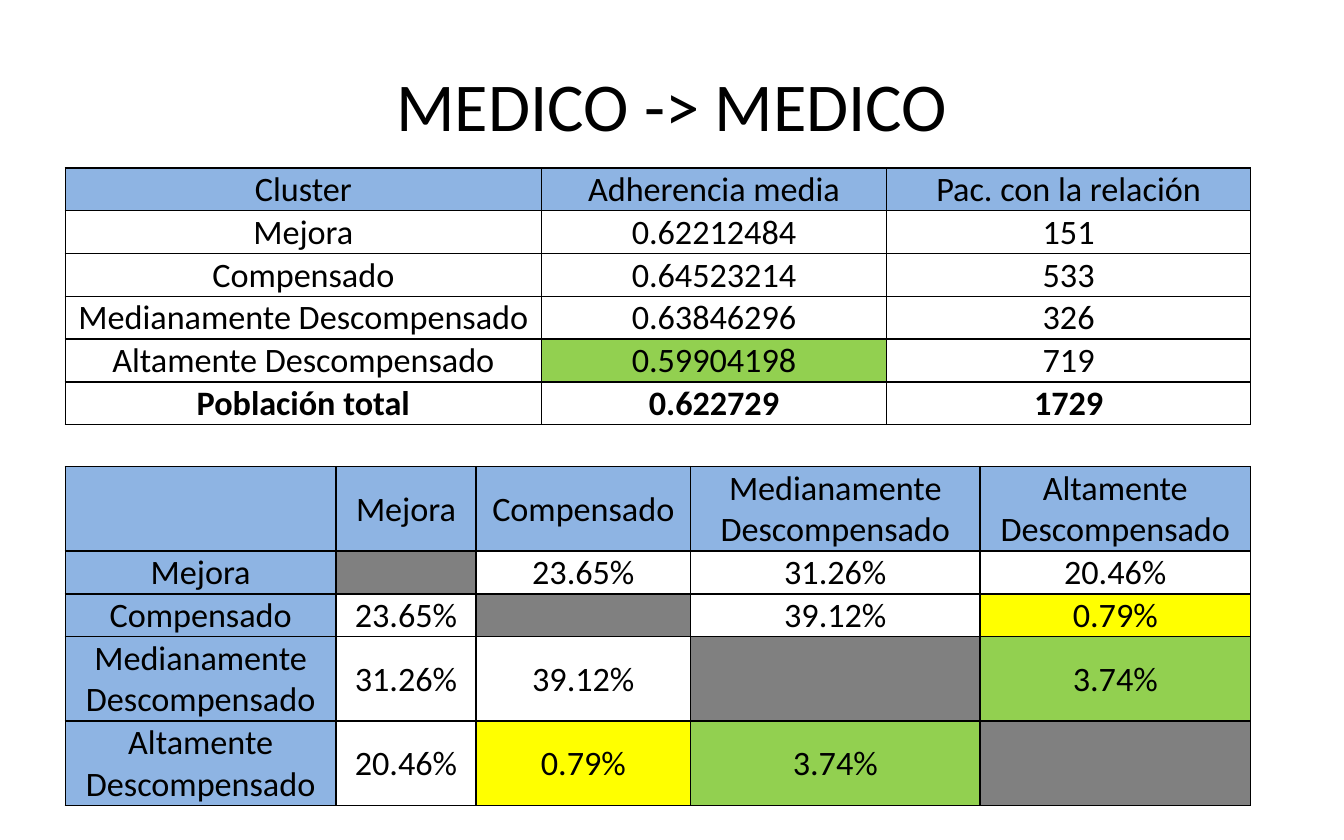
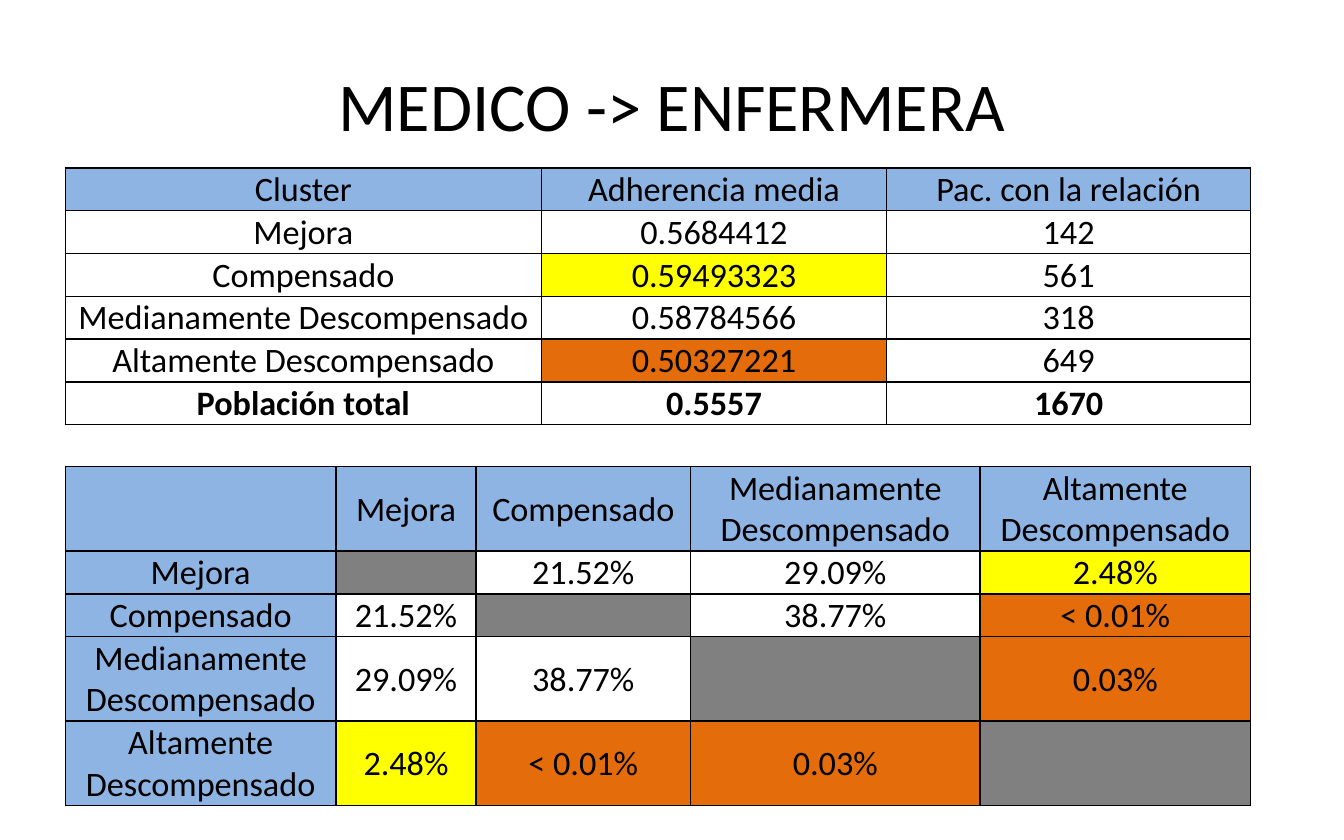
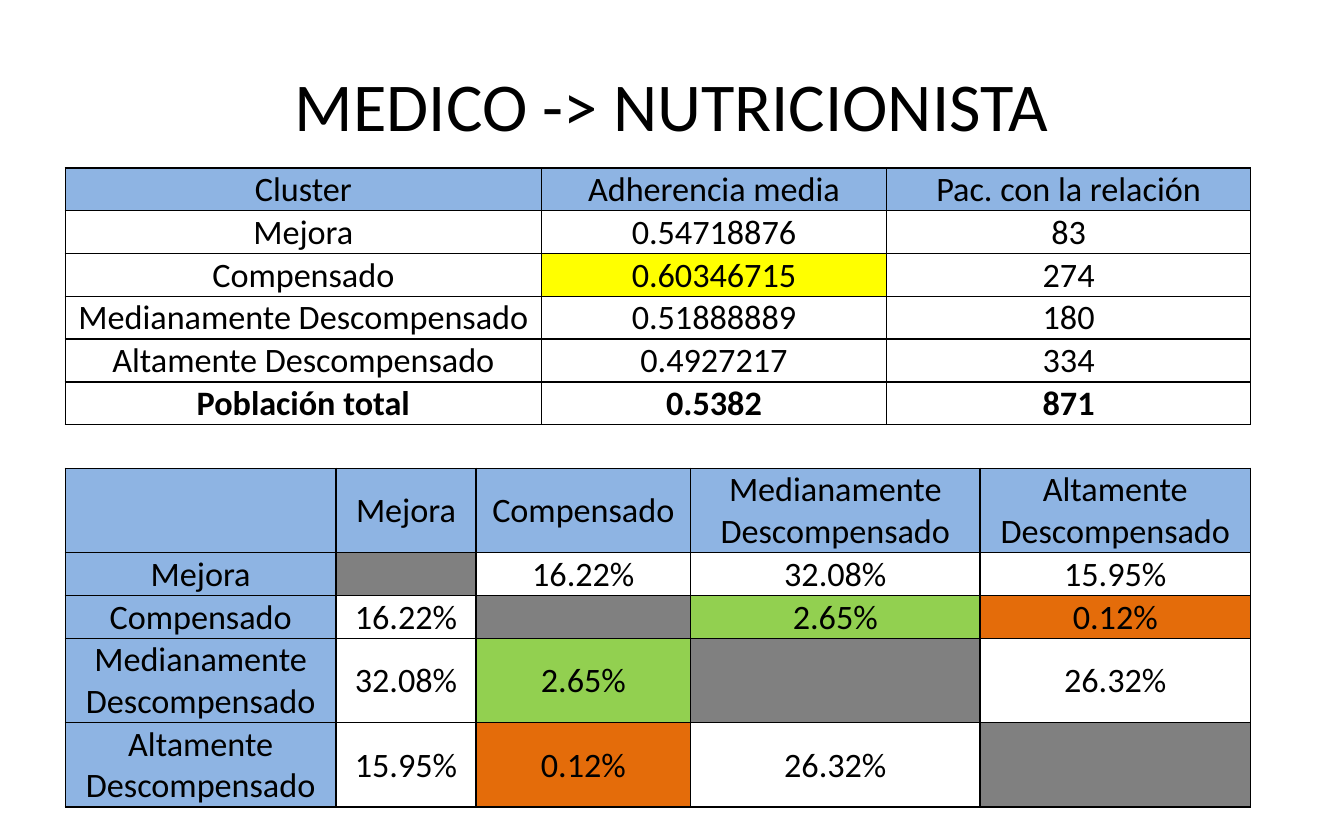
"""Builds three slides comparing adherence by patient cluster for each care transition."""
from lxml import etree
from pptx import Presentation
from pptx.dml.color import RGBColor
from pptx.enum.text import MSO_ANCHOR as Anchor, PP_ALIGN as Align
from pptx.oxml.ns import qn
from pptx.util import Pt

BLACK = RGBColor(0x00, 0x00, 0x00)
WHITE = RGBColor(0xFF, 0xFF, 0xFF)
BLUE = RGBColor(0x8E, 0xB4, 0xE3)
GRAY = RGBColor(0x80, 0x80, 0x80)
GREEN = RGBColor(0x92, 0xD0, 0x50)
YELLOW = RGBColor(0xFF, 0xFF, 0x00)
ORANGE = RGBColor(0xE4, 0x6C, 0x0A)

FONT = "Calibri"
LEFT = 42
SINGLE_ROW, DOUBLE_ROW = 27.5, 54.3
SUMMARY_TOP = 108
SUMMARY_COLUMNS = [306, 222, 234]
SUMMARY_ROWS = [SINGLE_ROW] * 6
MATRIX_COLUMNS = [174, 90, 138, 186, 174]
MATRIX_ROWS = [DOUBLE_ROW, SINGLE_ROW, SINGLE_ROW, DOUBLE_ROW, DOUBLE_ROW]

CLUSTERS = ["Mejora", "Compensado", "Medianamente Descompensado", "Altamente Descompensado"]
SUMMARY_HEADER = ["Cluster", "Adherencia media", "Pac. con la relación"]
PAIRS = [(0, 1), (0, 2), (0, 3), (1, 2), (1, 3), (2, 3)]

TRANSITIONS = [
    {
        "title": "MEDICO -> MEDICO",
        "adherence": ["0.62212484", "0.64523214", "0.63846296", "0.59904198", "0.622729"],
        "patients": ["151", "533", "326", "719", "1729"],
        "differences": ["23.65%", "31.26%", "20.46%", "39.12%", "0.79%", "3.74%"],
        "highlights": {"0.59904198": GREEN, "0.79%": YELLOW, "3.74%": GREEN},
        "matrix_top": 300,
    },
    {
        "title": "MEDICO -> ENFERMERA",
        "adherence": ["0.5684412", "0.59493323", "0.58784566", "0.50327221", "0.5557"],
        "patients": ["142", "561", "318", "649", "1670"],
        "differences": ["21.52%", "29.09%", "2.48%", "38.77%", "< 0.01%", "0.03%"],
        "highlights": {"0.59493323": YELLOW, "0.50327221": ORANGE, "2.48%": YELLOW,
                       "< 0.01%": ORANGE, "0.03%": ORANGE},
        "matrix_top": 300,
    },
    {
        "title": "MEDICO -> NUTRICIONISTA",
        "adherence": ["0.54718876", "0.60346715", "0.51888889", "0.4927217", "0.5382"],
        "patients": ["83", "274", "180", "334", "871"],
        "differences": ["16.22%", "32.08%", "15.95%", "2.65%", "0.12%", "26.32%"],
        "highlights": {"0.60346715": YELLOW, "2.65%": GREEN, "0.12%": ORANGE},
        "matrix_top": 301,
    },
]


def write(text_frame, text, size=22, bold=False, color=BLACK, align=Align.CENTER):
    text_frame.word_wrap = True
    paragraph = text_frame.paragraphs[0]
    paragraph.alignment = align
    run = paragraph.add_run()
    run.text = text
    run.font.name = FONT
    run.font.size = Pt(size)
    run.font.bold = bold
    run.font.color.rgb = color


def draw_table(slide, top, columns, rows, texts, fills, bold_row=None):
    shape = slide.shapes.add_table(len(rows), len(columns), Pt(LEFT), Pt(top),
                                   Pt(sum(columns)), Pt(sum(rows)))
    table = shape.table
    table.first_row = table.horz_banding = False
    for column, width in zip(table.columns, columns):
        column.width = Pt(width)
    for row_index, height in enumerate(rows):
        table.rows[row_index].height = Pt(height)
        for column_index in range(len(columns)):
            cell = table.cell(row_index, column_index)
            cell.vertical_anchor = Anchor.MIDDLE
            cell.margin_left = cell.margin_right = cell.margin_top = Pt(0.75)
            cell.margin_bottom = Pt(0)
            text = texts[row_index][column_index]
            if text:
                write(cell.text_frame, text, bold=row_index == bold_row)
            properties = cell._tc.get_or_add_tcPr()
            for edge in ("a:lnL", "a:lnR", "a:lnT", "a:lnB"):
                line = etree.SubElement(properties, qn(edge), w=str(Pt(1)))
                line_fill = etree.SubElement(line, qn("a:solidFill"))
                etree.SubElement(line_fill, qn("a:srgbClr"), val=str(BLACK))
            cell.fill.solid()
            cell.fill.fore_color.rgb = fills[row_index][column_index]


presentation = Presentation()
presentation.slide_width = Pt(864)
presentation.slide_height = Pt(540)

for transition in TRANSITIONS:
    slide = presentation.slides.add_slide(presentation.slide_layouts[6])
    highlights = transition["highlights"]

    title = slide.shapes.add_textbox(Pt(43.2), Pt(21.6), Pt(777.6), Pt(90))
    title.text_frame.vertical_anchor = Anchor.MIDDLE
    write(title.text_frame, transition["title"], size=44)

    matrix = [["", *CLUSTERS]] + [[cluster, "", "", "", ""] for cluster in CLUSTERS]
    for (first, second), difference in zip(PAIRS, transition["differences"]):
        matrix[first + 1][second + 1] = matrix[second + 1][first + 1] = difference
    matrix_fills = [[BLUE if 0 in (row, column) else GRAY if row == column
                     else highlights.get(text, WHITE)
                     for column, text in enumerate(texts)]
                    for row, texts in enumerate(matrix)]
    draw_table(slide, transition["matrix_top"], MATRIX_COLUMNS, MATRIX_ROWS, matrix, matrix_fills)

    summary = [SUMMARY_HEADER, *zip([*CLUSTERS, "Población total"],
                                    transition["adherence"], transition["patients"])]
    summary_fills = [[BLUE if row == 0 else highlights.get(text, WHITE) for text in texts]
                     for row, texts in enumerate(summary)]
    draw_table(slide, SUMMARY_TOP, SUMMARY_COLUMNS, SUMMARY_ROWS, summary, summary_fills,
               bold_row=len(summary) - 1)

presentation.save("out.pptx")
